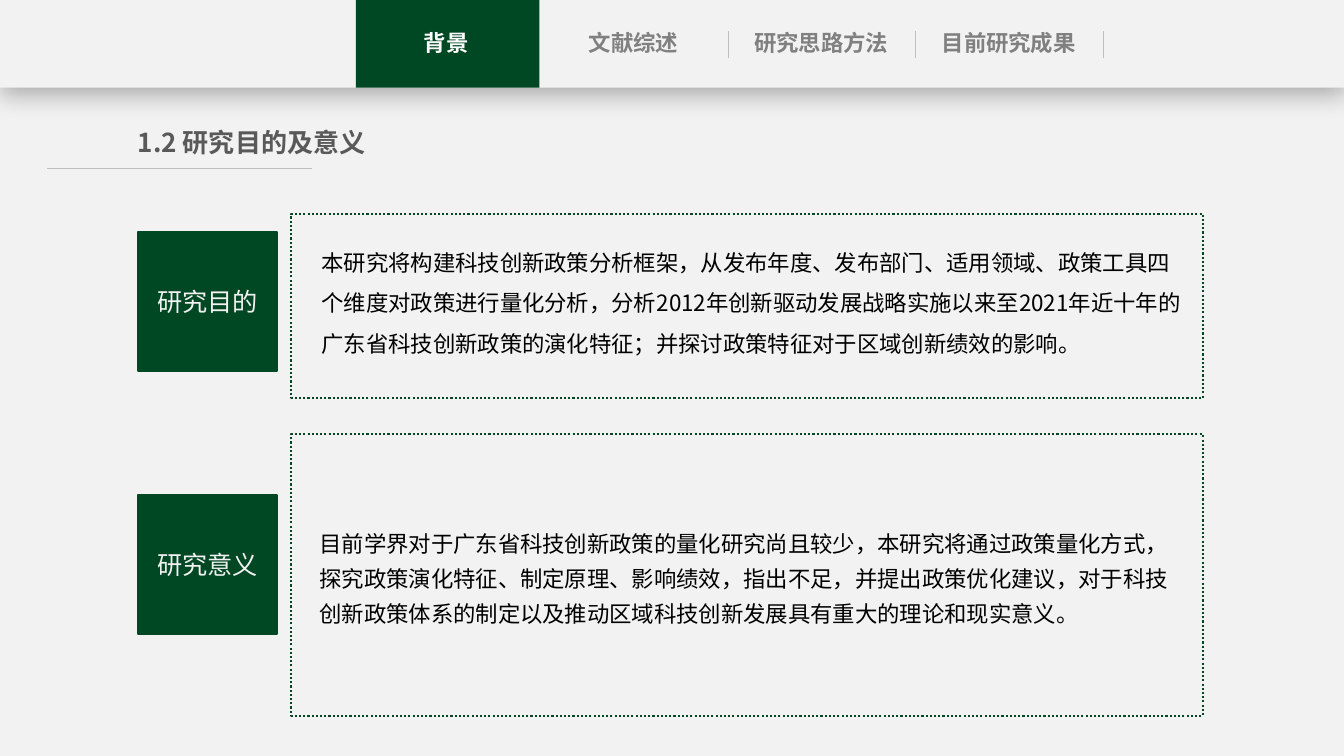
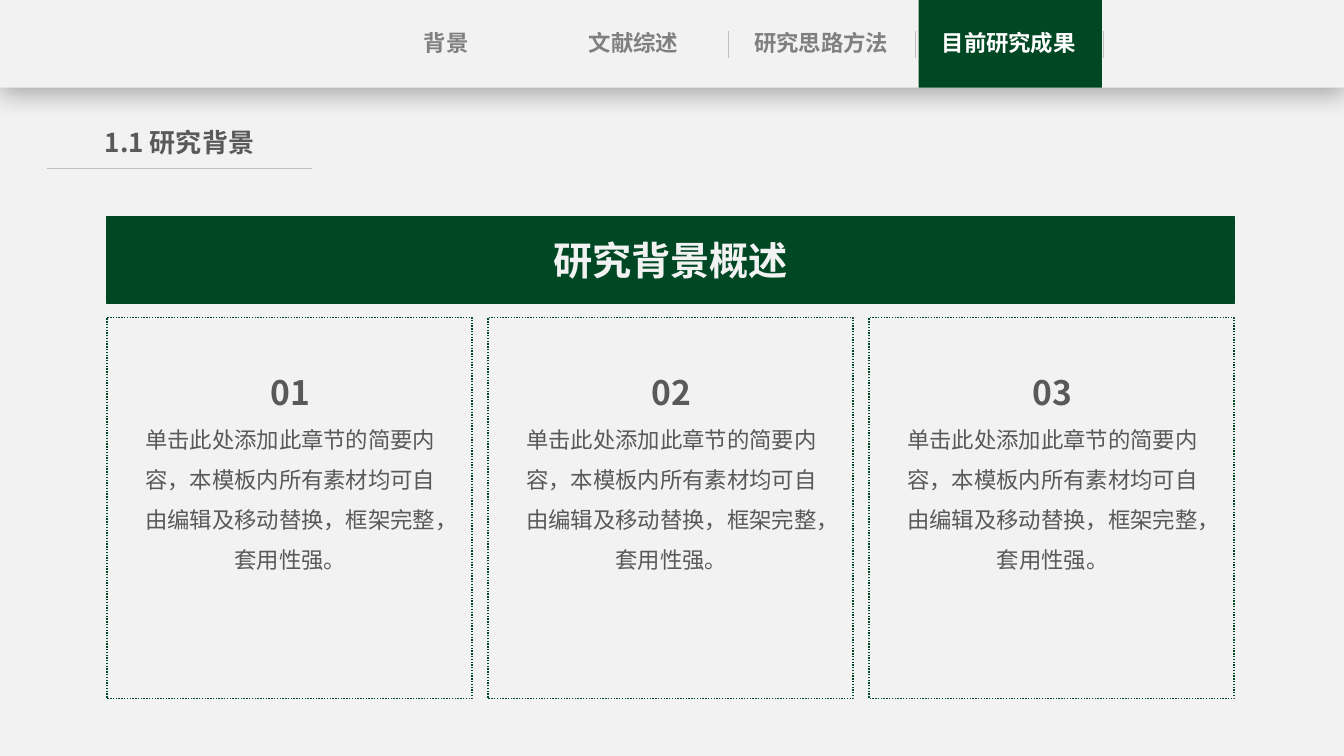
from lxml.etree import SubElement
from pptx import Presentation
from pptx.dml.color import RGBColor
from pptx.enum.dml import MSO_LINE
from pptx.enum.shapes import MSO_CONNECTOR, MSO_SHAPE
from pptx.enum.text import MSO_ANCHOR, MSO_AUTO_SIZE, PP_ALIGN
from pptx.oxml.ns import qn
from pptx.util import Inches, Pt

FONT = "Noto Sans CJK SC"
GREEN, PALE, WHITE, BLACK = "004723", "F2F2F2", "FFFFFF", "000000"
DARK_GREY, MID_GREY, RULE_GREY = "595959", "808080", "BFBFBF"
PAGE_WIDTH, PAGE_HEIGHT = 13.33, 7.5
BAND_HEIGHT = 0.87
TAB_LEFT, TAB_WIDTH, TAB_STEP = 3.53, 1.82, 1.86

TABS = ["背景", "文献综述", "研究思路方法", "目前研究成果"]

AIMS = [
    {
        "label": "研究目的", "label_top": 2.3,
        "panel_top": 2.12, "panel_height": 1.83,
        "text": "本研究将构建科技创新政策分析框架，从发布年度、发布部门、适用领域、政策工具四个维度"
                "对政策进行量化分析，分析2012年创新驱动发展战略实施以来至2021年近十年的广东省科技"
                "创新政策的演化特征；并探讨政策特征对于区域创新绩效的影响。",
        "text_at": (3.09, 2.29, 8.74, 1.31), "spacing": 1.5,
    },
    {
        "label": "研究意义", "label_top": 4.91,
        "panel_top": 4.31, "panel_height": 2.79,
        "text": "目前学界对于广东省科技创新政策的量化研究尚且较少，本研究将通过政策量化方式，探究"
                "政策演化特征、制定原理、影响绩效，指出不足，并提出政策优化建议，对于科技创新政策"
                "体系的制定以及推动区域科技创新发展具有重大的理论和现实意义。",
        "text_at": (3.07, 5.13, 8.68, 1.15), "spacing": 1.3,
    },
]

OVERVIEW = "研究背景概述"
CARD_TEXT = "单击此处添加此章节的简要内容，本模板内所有素材均可自由编辑及移动替换，框架完整，套用性强。"
CARDS = [("01", CARD_TEXT), ("02", CARD_TEXT), ("03", CARD_TEXT)]


def color(value):
    return RGBColor.from_string(value)


def add_span(para, text, size, ink, bold=False):
    span = para.add_run()
    span.text = text
    font = span.font
    font.size, font.bold, font.name = Pt(size), bold, FONT
    font.color.rgb = color(ink)
    SubElement(font._element, qn("a:ea"), typeface=FONT)


def add_rectangle(page, at, fill=None, line=None, width=1.0, dotted=False):
    box = page.shapes.add_shape(MSO_SHAPE.RECTANGLE, *map(Inches, at))
    box.shadow.inherit = False
    if fill:
        box.fill.solid()
        box.fill.fore_color.rgb = color(fill)
    else:
        box.fill.background()
    if line:
        box.line.color.rgb = color(line)
        box.line.width = Pt(width)
        if dotted:
            box.line.dash_style = MSO_LINE.ROUND_DOT
    else:
        box.line.fill.background()
    return box


def add_label(page, at, text, size, line_width, bold=False):
    """Add a green block with centred text."""
    box = add_rectangle(page, at, GREEN, GREEN, line_width)
    frame = box.text_frame
    frame.word_wrap = True
    frame.vertical_anchor = MSO_ANCHOR.MIDDLE
    para = frame.paragraphs[0]
    para.alignment = PP_ALIGN.CENTER
    add_span(para, text, size, PALE, bold)


def add_text(page, at, rows, align=PP_ALIGN.CENTER, spacing=None, margins=(0, 0.05)):
    """Add a text box; each row is (text, size, ink, bold), margins are (side, top and bottom)."""
    frame = page.shapes.add_textbox(*map(Inches, at)).text_frame
    frame.word_wrap = True
    frame.auto_size = MSO_AUTO_SIZE.SHAPE_TO_FIT_TEXT
    frame.margin_left = frame.margin_right = Inches(margins[0])
    frame.margin_top = frame.margin_bottom = Inches(margins[1])
    for index, row in enumerate(rows):
        para = frame.add_paragraph() if index else frame.paragraphs[0]
        para.alignment = align
        if spacing:
            para.line_spacing = spacing
        add_span(para, *row)


def add_rule(page, start, end):
    rule = page.shapes.add_connector(MSO_CONNECTOR.STRAIGHT, *map(Inches, start + end))
    rule.line.color.rgb = color(RULE_GREY)
    rule.line.width = Pt(0.5)
    SubElement(rule._element.spPr, qn("a:effectLst"))


def add_band_shadow(band):
    effects = band._element.spPr.find(qn("a:effectLst"))
    shadow = SubElement(effects, qn("a:outerShdw"), blurRad=str(Pt(18)), dist=str(Pt(4)),
                        dir="5400000", algn="t", rotWithShape="0")
    tint = SubElement(shadow, qn("a:srgbClr"), val=BLACK)
    SubElement(tint, qn("a:alpha"), val="29000")


def add_page(deck, title, title_width, active):
    """Add a page with its navigation band, the active tab lit, and its title."""
    page = deck.slides.add_slide(deck.slide_layouts[6])
    add_band_shadow(add_rectangle(page, (0, 0, PAGE_WIDTH, BAND_HEIGHT), PALE))
    add_rectangle(page, (TAB_LEFT + active * TAB_STEP, 0, TAB_WIDTH, BAND_HEIGHT), GREEN)
    for index, name in enumerate(TABS):
        left = TAB_LEFT + index * TAB_STEP
        ink = WHITE if index == active else MID_GREY
        add_text(page, (left + 0.16, 0.24, 1.47, 0.37), [(name, 16, ink, True)])
        if index:
            edge = left + TAB_WIDTH + 0.01
            add_rule(page, (edge, 0.31), (edge, 0.58))
    add_rule(page, (0.47, 1.67), (3.09, 1.67))
    add_text(page, (0.89, 1.21, title_width, 0.42), [(title, 18.6, DARK_GREY, True)])
    return page


def add_aims_page(deck):
    page = add_page(deck, "1.2 研究目的及意义", 3.21, 0)
    for aim in AIMS:
        add_label(page, (1.37, aim["label_top"], 1.38, 1.38), aim["label"], 18, 1.5)
        panel = (2.89, aim["panel_top"], 9.04, aim["panel_height"])
        add_rectangle(page, panel, line=GREEN, width=1.5, dotted=True)
        add_text(page, aim["text_at"], [(aim["text"], 16, BLACK)], PP_ALIGN.LEFT,
                 aim["spacing"], (0.1, 0.05))


def add_background_page(deck):
    page = add_page(deck, "1.1 研究背景", 1.78, 3)
    left, width, card_width = 1.06, 11.18, 3.62
    add_label(page, (left, 2.15, width, 0.86), OVERVIEW, 28, 1, True)
    step = (width - card_width) / (len(CARDS) - 1)
    for index, (number, text) in enumerate(CARDS):
        card_left = left + index * step
        add_rectangle(page, (card_left, 3.15, card_width, 3.78), line=GREEN, dotted=True)
        rows = [(number, 24, DARK_GREY, True), (text, 16, DARK_GREY)]
        add_text(page, (card_left + 0.3, 3.49, 3.04, 2.22), rows, spacing=1.5, margins=(0, 0))


def main():
    deck = Presentation()
    deck.slide_width, deck.slide_height = Inches(PAGE_WIDTH), Inches(PAGE_HEIGHT)
    backdrop = deck.slide_master.background.fill
    backdrop.solid()
    backdrop.fore_color.rgb = color(PALE)
    add_aims_page(deck)
    add_background_page(deck)
    deck.save("out.pptx")


if __name__ == "__main__":
    main()
